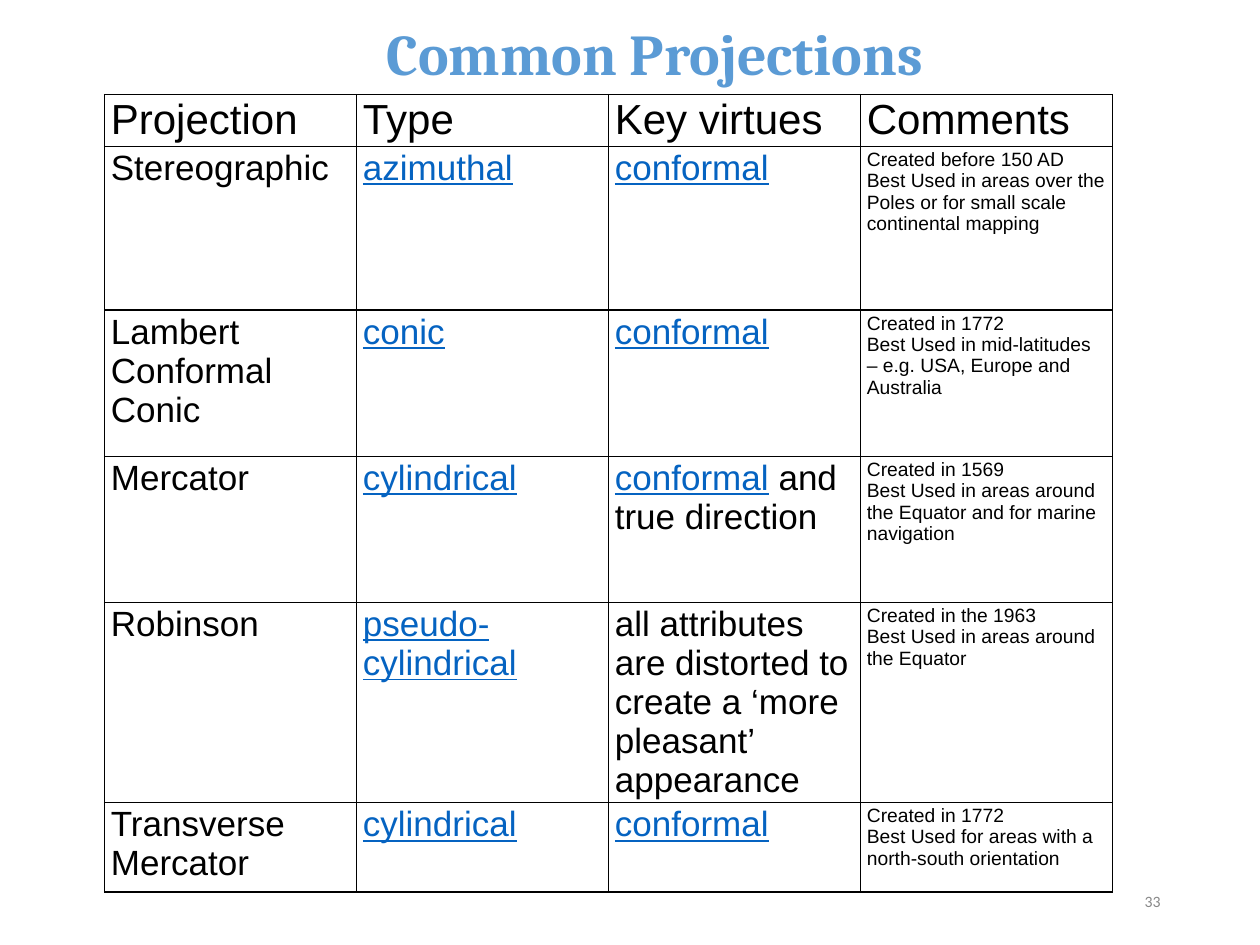
from lxml.etree import SubElement
from pptx import Presentation
from pptx.dml.color import RGBColor
from pptx.enum.text import MSO_ANCHOR, PP_ALIGN
from pptx.oxml.ns import qn
from pptx.util import Inches, Pt


def color(value):
    return RGBColor.from_string(value)


def add_run(p, text, rgb, **formats):
    r = p.add_run()
    r.text = text
    r.font.color.rgb = color(rgb)
    for name, value in formats.items():
        setattr(r.font, name, value)


BLACK, LINK = "000000", "0563C1"

prs = Presentation()
prs.slide_width, prs.slide_height = Inches(10), Inches(7.5)
s = prs.slides.add_slide(prs.slide_layouts[6])

header = ["Projection", "Type", "Key virtues", "Comments"]
projections = [
    ("Stereographic", "azimuthal", "conformal", "",
     "Created before 150 AD\nBest Used in areas over the Poles or for small scale continental mapping"),
    ("Lambert Conformal Conic", "conic", "conformal", "",
     "Created in 1772\nBest Used in mid-latitudes – e.g. USA, Europe and Australia"),
    ("Mercator", "cylindrical", "conformal", " and true direction",
     "Created in 1569\nBest Used in areas around the Equator and for marine navigation"),
    ("Robinson", "pseudo-cylindrical", "",
     "all attributes are distorted to create a ‘more pleasant’ appearance",
     "Created in the 1963\nBest Used in areas around the Equator"),
    ("Transverse Mercator", "cylindrical", "conformal", "",
     "Created in 1772\nBest Used for areas with a north-south orientation"),
]
rows = [[[(text, BLACK, 24)] for text in header]]
for name, kind, virtue, detail, comment in projections:
    rows.append([
        [(name, BLACK, 20)],
        [(kind, LINK, 20)],
        [(virtue, LINK, 20), (detail, BLACK, 20)],
        [(comment, BLACK, 11)],
    ])

heights = [0.34, 1.3, 1.16, 1.16, 0.89, 0.71]
table = s.shapes.add_table(len(rows), len(header), Inches(0.83), Inches(0.75),
                           Inches(8), Inches(sum(heights))).table
table.first_row = table.horz_banding = False
for column in table.columns:
    column.width = Inches(2)

for i, row in enumerate(rows):
    table.rows[i].height = Inches(heights[i])
    for j, parts in enumerate(row):
        cell = table.cell(i, j)
        cell.margin_left = cell.margin_right = Inches(0.05)
        cell.margin_top = cell.margin_bottom = Inches(0.02)
        tcPr = cell._tc.get_or_add_tcPr()
        for side in ("a:lnL", "a:lnR", "a:lnT", "a:lnB"):
            ln = SubElement(tcPr, qn(side), w=str(Pt(1)))
            SubElement(SubElement(ln, qn("a:solidFill")), qn("a:srgbClr"), val=BLACK)
        cell.fill.background()
        p = cell.text_frame.paragraphs[0]
        for text, rgb, size in parts:
            if not text:
                continue
            for k, line in enumerate(text.split("\n")):
                if k:
                    p.add_line_break()
                    SubElement(p._p[-1], qn("a:rPr"), sz=str(size * 100))
                add_run(p, line, rgb, name="Arial", size=Pt(size), underline=rgb == LINK)

labels = [
    ("33", (7.06, 6.95, 2.25, 0.4), (0.1, 0.05), 0, "888888",
     {"alignment": PP_ALIGN.RIGHT}, {"name": "Calibri", "size": Pt(9)}),
    ("Common Projections", (0.82, 0.17, 7.7, 0.48), (0, 0), 2.25, "5B9BD5",
     {"line_spacing": 1.02}, {"name": "Cambria", "size": Pt(33), "bold": True}),
]
for text, box, (mx, my), indent, rgb, layout, formats in labels:
    sp = s.shapes.add_textbox(*[Inches(v) for v in box])
    tf = sp.text_frame
    tf.word_wrap = True
    tf.vertical_anchor = MSO_ANCHOR.MIDDLE
    tf.margin_left = tf.margin_right = Inches(mx)
    tf.margin_top = tf.margin_bottom = Inches(my)
    p = tf.paragraphs[0]
    p._p.get_or_add_pPr().set("marL", str(Inches(indent)))
    for name, value in layout.items():
        setattr(p, name, value)
    add_run(p, text, rgb, **formats)

prs.save("out.pptx")
